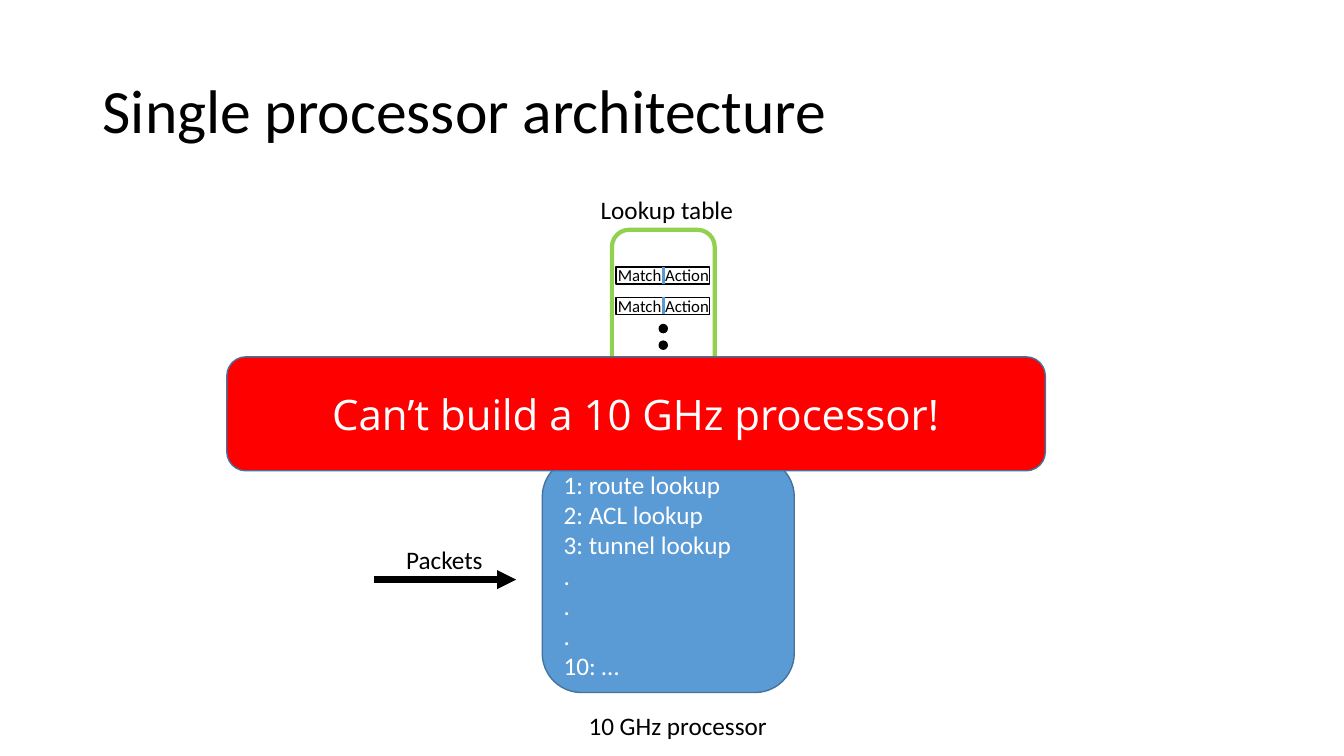
from dataclasses import dataclass

from lxml.etree import SubElement
from pptx import Presentation
from pptx.dml.color import RGBColor as Rgb
from pptx.enum.shapes import MSO_CONNECTOR as Link, MSO_SHAPE as Form
from pptx.enum.text import MSO_ANCHOR as Anchor, PP_ALIGN as Align
from pptx.oxml.ns import qn
from pptx.util import Inches, Pt


@dataclass(frozen=True)
class Theme:
    black: str = "000000"
    white: str = "FFFFFF"
    blue: str = "5B9BD5"
    edge: str = "43739E"
    green: str = "92D050"
    red: str = "FF0000"
    font: str = "Calibri"
    banner_font: str = "Open Sans"
    title: int = 44
    banner: int = 30
    body: int = 18
    small: int = 12


THEME = Theme()
WIDTH, HEIGHT = Inches(13.33), Inches(7.5)


def across(percent):
    return round(WIDTH * percent / 100)


def down(percent):
    return round(HEIGHT * percent / 100)


def area(left, top, width, height):
    """Turn percentages of the slide into a position and a size."""
    return across(left), down(top), across(width), down(height)


def write(box, lines, size, color, font=THEME.font, align=Align.LEFT,
          anchor=Anchor.MIDDLE, wrap=True, spacing=1.0):
    frame = box.text_frame
    frame.word_wrap = wrap
    frame.vertical_anchor = anchor
    for index, line in enumerate(lines):
        para = frame.add_paragraph() if index else frame.paragraphs[0]
        para.alignment = align
        para.line_spacing = spacing
        span = para.add_run()
        span.text = line
        span.font.size = Pt(size)
        span.font.name = font
        span.font.color.rgb = Rgb.from_string(color)


def add_label(page, text, place, size=THEME.body):
    box = page.shapes.add_textbox(*area(*place))
    write(box, [text], size, THEME.black, anchor=Anchor.TOP, wrap=False)


def add_box(page, form, place, fill=None, line=THEME.black, weight=1):
    box = page.shapes.add_shape(form, *area(*place))
    box.shadow.inherit = False
    if fill:
        box.fill.solid()
        box.fill.fore_color.rgb = Rgb.from_string(fill)
    else:
        box.fill.background()
    box.line.color.rgb = Rgb.from_string(line)
    box.line.width = Pt(weight)
    return box


def add_line(page, start, end, color, weight, arrow=False):
    line = page.shapes.add_connector(
        Link.STRAIGHT, across(start[0]), down(start[1]), across(end[0]), down(end[1]))
    line.line.color.rgb = Rgb.from_string(color)
    line.line.width = Pt(weight)
    if arrow:
        SubElement(line.line._get_or_add_ln(), qn("a:tailEnd"), type="triangle")
    SubElement(line._element.spPr, qn("a:effectLst"))


def add_entry(page, top):
    """One match-action row of the lookup table."""
    height, middle = 2.27, 49.38
    for text, left in (("Match", 45.23), ("Action", 48.75)):
        add_label(page, text, (left, top - 0.93, 4.8, 4), THEME.small)
    add_box(page, Form.RECTANGLE, (45.83, top, 6.98, height))
    add_line(page, (middle, top), (middle, top + height), THEME.blue, 2)


def main():
    deck = Presentation()
    deck.slide_width, deck.slide_height = WIDTH, HEIGHT
    page = deck.slides.add_slide(deck.slide_layouts[6])

    # Title
    title = page.shapes.add_textbox(*area(6.9, 5.33, 86.25, 19.33))
    write(title, ["Single processor architecture"], THEME.title, THEME.black, spacing=0.9)

    # Processor and its program
    processor = add_box(page, Form.ROUNDED_RECTANGLE, (40.35, 60.53, 18.75, 31.07),
                        THEME.blue, THEME.edge)
    program = ["1: route lookup", "2: ACL lookup", "3: tunnel lookup", *"...", "10: …"]
    write(processor, program, THEME.body, THEME.white)
    add_label(page, "10 GHz processor", (43.05, 93.33, 14.93, 5.33))

    # Lookup table with its entries and dots
    add_label(page, "Lookup table", (43.95, 25.07, 11.48, 5.33))
    add_box(page, Form.ROUNDED_RECTANGLE, (45.53, 30.4, 7.65, 24.53),
            line=THEME.green, weight=3)
    for row in range(2):
        add_entry(page, 35.33 + 4 * row)
        add_box(page, Form.OVAL, (49.05, 42.93 + 2.2 * row, 0.6, 1.07), THEME.black)

    # Incoming packets
    add_line(page, (27.83, 76.67), (38.4, 76.67), THEME.black, 4.5, arrow=True)
    add_label(page, "Packets", (29.48, 71.33, 7.28, 5.33))

    # Banner on top
    banner = add_box(page, Form.ROUNDED_RECTANGLE, (16.88, 47.2, 60.9, 15.07),
                     THEME.red, THEME.edge)
    write(banner, ["Can’t build a 10 GHz processor!"], THEME.banner, THEME.white,
          THEME.banner_font, Align.CENTER)

    deck.save("out.pptx")


main()
